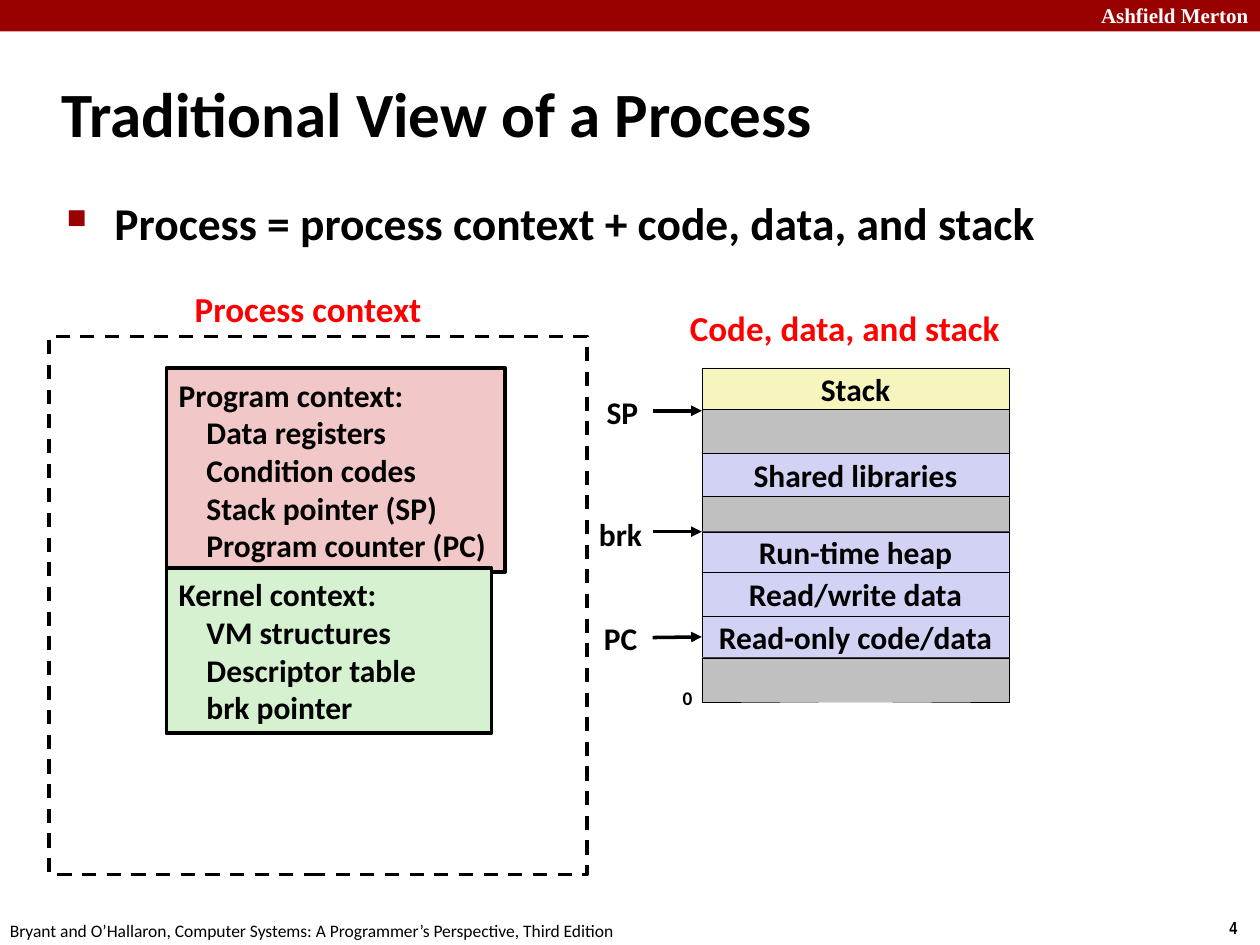
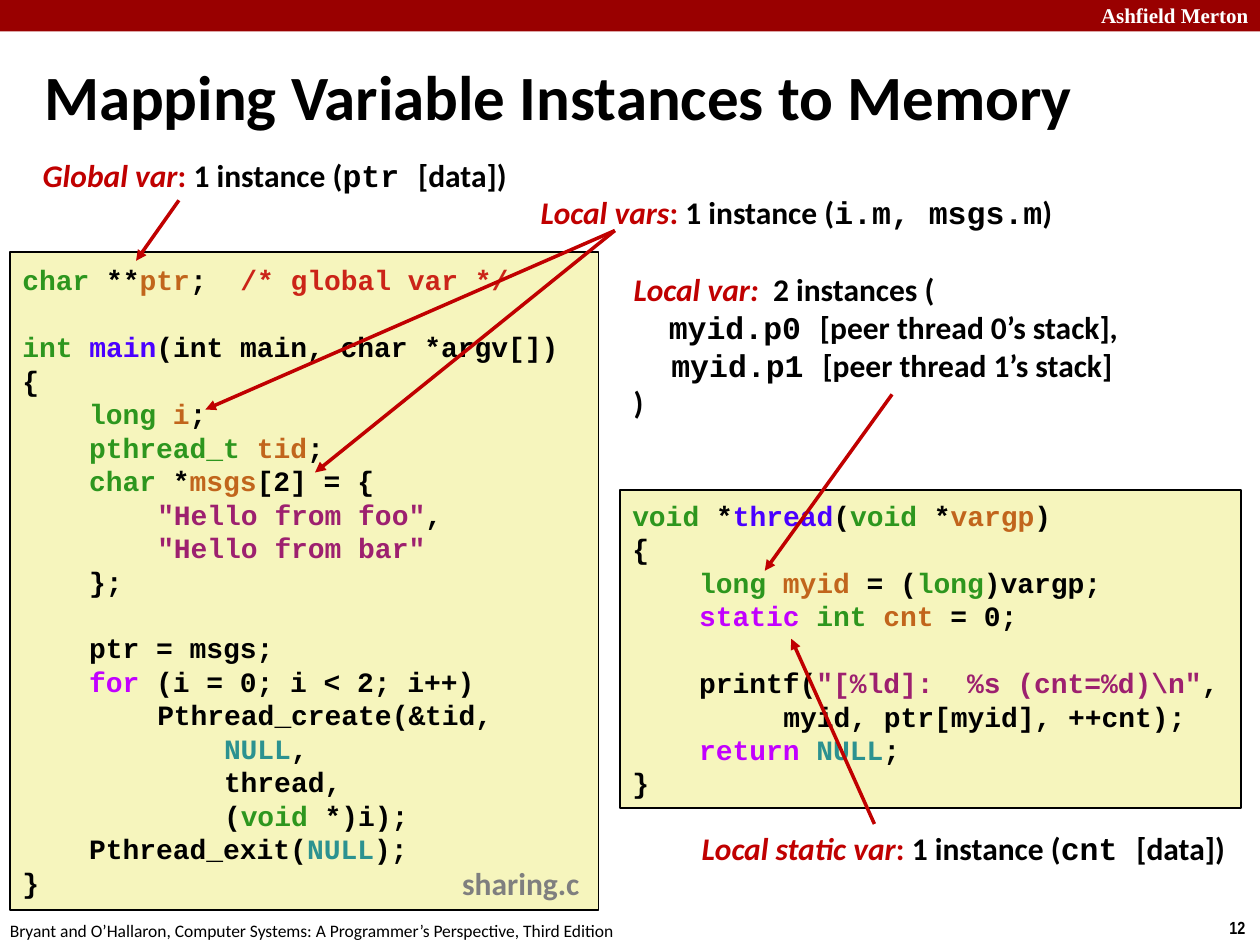
from dataclasses import dataclass
from typing import Optional

from lxml.etree import SubElement
from pptx import Presentation
from pptx.dml.color import RGBColor
from pptx.enum.dml import MSO_LINE
from pptx.enum.shapes import MSO_CONNECTOR, MSO_SHAPE
from pptx.enum.text import MSO_ANCHOR, MSO_AUTO_SIZE, PP_ALIGN
from pptx.oxml.ns import qn
from pptx.util import Pt

# Lengths are px, 100 to the inch
EMU_PER_PX = 9144
SLIDE_WIDTH, SLIDE_HEIGHT = 1000, 750
LINE_PITCH = 1.195  # line height of stacked lines, relative to the text size
CODE_SIZE, CODE_COLUMN = 16, 9.6  # points

CALIBRI, COURIER = "Calibri", "Courier New"

BLACK = RGBColor(0x00, 0x00, 0x00)
WHITE = RGBColor(0xFF, 0xFF, 0xFF)
BAND_RED = RGBColor(0x99, 0x00, 0x00)
HEADING_RED = RGBColor(0xFF, 0x00, 0x00)
NOTE_RED = RGBColor(0xC0, 0x00, 0x00)
PINK = RGBColor(0xF1, 0xC7, 0xC7)
GREEN = RGBColor(0xD5, 0xF1, 0xCF)
YELLOW = RGBColor(0xF6, 0xF5, 0xBD)
LAVENDER = RGBColor(0xD2, 0xD2, 0xF4)
GREY = RGBColor(0xC0, 0xC0, 0xC0)
FILE_GREY = RGBColor(0x7F, 0x7F, 0x7F)

# Syntax colours
TYPE = RGBColor(0x2D, 0x96, 0x1E)
VARIABLE = RGBColor(0xC1, 0x65, 0x1C)
COMMENT = RGBColor(0xCB, 0x24, 0x18)
FUNCTION = RGBColor(0x4A, 0x00, 0xFF)
STRING = RGBColor(0x9D, 0x20, 0x6F)
KEYWORD = RGBColor(0xC2, 0x00, 0xFF)
CONSTANT = RGBColor(0x2C, 0x92, 0x90)


@dataclass(frozen=True)
class Box:
    left: int
    top: int
    width: int
    height: int


@dataclass(frozen=True)
class Run:
    text: str
    color: RGBColor = BLACK
    font: str = CALIBRI
    size: int = 18
    bold: bool = True
    italic: bool = False


@dataclass(frozen=True)
class Line:
    runs: tuple[Run, ...]
    indent: int = 0
    gap_before: bool = False


@dataclass(frozen=True)
class MemoryRow:
    label: str
    height: int
    fill: RGBColor


@dataclass(frozen=True)
class Arrow:
    start: tuple[int, int]
    end: tuple[int, int]
    color: RGBColor = NOTE_RED


def px(length: float) -> int:
    return round(length * EMU_PER_PX)


def place(box: Box) -> tuple[int, ...]:
    return tuple(px(length) for length in (box.left, box.top, box.width, box.height))


def one(text: str, **style) -> list[Line]:
    return [Line((Run(text, **style),))]


def code(columns: int, *parts, gap_before: bool = False) -> Line:
    """A code line: plain strings are black, pairs are (text, colour)."""
    pairs = [(part, BLACK) if isinstance(part, str) else part for part in parts]
    runs = tuple(Run(text, color, COURIER, CODE_SIZE) for text, color in pairs)
    return Line(runs, round(columns * CODE_COLUMN * 100 / 72), gap_before)


def write(shape, lines: list[Line], align=PP_ALIGN.LEFT, anchor=MSO_ANCHOR.MIDDLE,
          wrap: bool = False) -> None:
    frame = shape.text_frame
    frame.word_wrap = wrap
    frame.auto_size = MSO_AUTO_SIZE.NONE
    frame.vertical_anchor = anchor
    for index, line in enumerate(lines):
        paragraph = frame.add_paragraph() if index else frame.paragraphs[0]
        paragraph.alignment = align
        pitch = Pt(line.runs[0].size * LINE_PITCH)
        if len(lines) > 1:
            paragraph.line_spacing = pitch
        if line.gap_before:
            paragraph.space_before = pitch
        if line.indent:
            paragraph._p.get_or_add_pPr().set("marL", str(px(line.indent)))
        for part in line.runs:
            run = paragraph.add_run()
            run.text = part.text
            font = run.font
            font.name, font.size = part.font, Pt(part.size)
            font.bold, font.italic = part.bold, part.italic
            font.color.rgb = part.color


def add_text(slide, box: Box, lines: list[Line], **layout):
    shape = slide.shapes.add_textbox(*place(box))
    write(shape, lines, **layout)
    return shape


def add_rectangle(slide, box: Box, fill: Optional[RGBColor], line_width: float = 0):
    shape = slide.shapes.add_shape(MSO_SHAPE.RECTANGLE, *place(box))
    shape.shadow.inherit = False
    if fill is None:
        shape.fill.background()
    else:
        shape.fill.solid()
        shape.fill.fore_color.rgb = fill
    if line_width:
        shape.line.color.rgb = BLACK
        shape.line.width = Pt(line_width)
    else:
        shape.line.fill.background()
    return shape


def add_arrow(slide, arrow: Arrow):
    connector = slide.shapes.add_connector(
        MSO_CONNECTOR.STRAIGHT, *(px(value) for value in arrow.start + arrow.end))
    connector.line.color.rgb = arrow.color
    connector.line.width = Pt(2)
    SubElement(connector.line._get_or_add_ln(), qn("a:tailEnd"), type="triangle")
    SubElement(connector._element.spPr, qn("a:effectLst"))
    return connector


def add_slide(presentation, title: str, title_box: Box, number: int):
    """A slide with the shared band, footer and title style."""
    slide = presentation.slides.add_slide(presentation.slide_layouts[5])
    add_rectangle(slide, Box(0, 0, SLIDE_WIDTH, 25), BAND_RED)
    add_text(slide, Box(864, -3, 143, 30),
             one("Ashfield Merton", color=WHITE, font="Times New Roman", size=12))
    add_text(slide, Box(966, 723, 34, 27), one(str(number), font="Arial Narrow", size=10))
    add_text(slide, Box(-2, 725, 508, 27),
             one("Bryant and O’Hallaron, Computer Systems: A Programmer’s Perspective, "
                 "Third Edition", size=10, bold=False))
    heading = slide.shapes.title
    heading.left, heading.top, heading.width, heading.height = place(title_box)
    write(heading, one(title, size=36), wrap=True)
    return slide


def add_bullet(slide, box: Box, text: str) -> None:
    shape = add_text(slide, box, one(text, size=26), anchor=MSO_ANCHOR.TOP, wrap=True)
    paragraph = shape.text_frame.paragraphs[0]
    paragraph.space_before = Pt(5)
    properties = paragraph._p.get_or_add_pPr()
    properties.set("marL", str(px(38)))
    properties.set("indent", str(px(-38)))
    color = SubElement(properties, qn("a:buClr"))
    SubElement(color, qn("a:srgbClr"), val=str(BAND_RED))
    SubElement(properties, qn("a:buSzPct"), val="60000")
    SubElement(properties, qn("a:buChar"), char="■")


def context_lines(heading: str, *items: str) -> list[Line]:
    return one(heading) + [Line((Run(item),), indent=22) for item in items]


def build_process_slide(presentation) -> None:
    slide = add_slide(presentation, "Traditional View of a Process", Box(39, 48, 830, 83), 4)
    add_bullet(slide, Box(43, 150, 864, 544),
               "Process = process context + code, data, and stack")

    # Process context
    program = add_rectangle(slide, Box(132, 292, 269, 162), PINK, 2)
    write(program, context_lines("Program context:", "Data registers", "Condition codes",
                                 "Stack pointer (SP)", "Program counter (PC)"))
    kernel = add_rectangle(slide, Box(132, 451, 258, 131), GREEN, 2)
    write(kernel, context_lines("Kernel context:", "VM structures", "Descriptor table",
                                "brk pointer"))
    outline = add_rectangle(slide, Box(39, 267, 427, 427), None, 2)
    outline.line.dash_style = MSO_LINE.DASH

    # Headings
    for text, box in (("Process context", Box(143, 223, 203, 44)),
                      ("Code, data, and stack", Box(536, 238, 269, 44))):
        add_text(slide, box, one(text, color=HEADING_RED, size=20), align=PP_ALIGN.CENTER)

    # Memory map, from the top address down
    memory_rows = (
        MemoryRow("Stack", 33, YELLOW), MemoryRow("", 35, GREY),
        MemoryRow("Shared libraries", 34, LAVENDER), MemoryRow("", 28, GREY),
        MemoryRow("Run-time heap", 32, LAVENDER), MemoryRow("Read/write data", 35, LAVENDER),
        MemoryRow("Read-only code/data", 33, LAVENDER), MemoryRow("", 35, GREY))
    segments = {}
    top = 292
    for row in memory_rows:
        segment = add_rectangle(slide, Box(557, top, 244, row.height), row.fill, 0.25)
        if row.label:
            write(segment, one(row.label), align=PP_ALIGN.CENTER)
            segments[row.label] = segment
        top += row.height
    add_text(slide, Box(532, 539, 28, 29), one("0", size=11))

    # Pointers into memory
    for name, box, y, target in (("SP", Box(471, 307, 46, 40), 326, None),
                                 ("brk", Box(465, 404, 55, 40), 422, None),
                                 ("PC", Box(469, 486, 47, 40), 506, "Read-only code/data")):
        add_text(slide, box, one(name), align=PP_ALIGN.CENTER)
        pointer = add_arrow(slide, Arrow((518, y), (557, y), BLACK))
        if target:
            pointer.end_connect(segments[target], 1)


def build_variables_slide(presentation) -> None:
    slide = add_slide(presentation, "Mapping Variable Instances to Memory",
                      Box(25, 33, 981, 85), 12)

    # Code listings
    main_code = [
        code(0, ("char", TYPE), " **", ("ptr", VARIABLE), ";  ", ("/* global var */", COMMENT)),
        code(0, ("int ", TYPE), ("main", FUNCTION), "(int main, char *argv[])",
             gap_before=True),
        code(0, "{"),
        code(4, ("long ", TYPE), ("i", VARIABLE), ";"),
        code(4, ("pthread_t ", TYPE), ("tid", VARIABLE), ";"),
        code(4, ("char", TYPE), " *", ("msgs", VARIABLE), "[2] = {"),
        code(8, ('"Hello from foo"', STRING), ","),
        code(8, ('"Hello from bar"', STRING)),
        code(4, "};"),
        code(4, "ptr = msgs;", gap_before=True),
        code(4, ("for", KEYWORD), " (i = 0; i < 2; i++)"),
        code(8, "Pthread_create(&tid,"),
        code(12, ("NULL", CONSTANT), ","),
        code(12, "thread,"),
        code(12, "(", ("void", TYPE), " *)i);"),
        code(4, "Pthread_exit(", ("NULL", CONSTANT), ");"),
        code(0, "}")]
    thread_code = [
        code(0, ("void", TYPE), " *", ("thread", FUNCTION), "(", ("void", TYPE), " *",
             ("vargp", VARIABLE), ")"),
        code(0, "{"),
        code(4, ("long ", TYPE), ("myid", VARIABLE), " = (", ("long", TYPE), ")vargp;"),
        code(4, ("static ", KEYWORD), ("int ", TYPE), ("cnt", VARIABLE), " = 0;"),
        code(4, "printf(", ('"[%ld]:  %s (cnt=%d)\\n"', STRING), ",", gap_before=True),
        code(9, "myid, ptr[myid], ++cnt);"),
        code(4, ("return ", KEYWORD), ("NULL", CONSTANT), ";"),
        code(0, "}")]
    for box, listing in ((Box(8, 200, 467, 522), main_code),
                         (Box(492, 389, 493, 252), thread_code)):
        write(add_rectangle(slide, box, YELLOW, 1), listing)
    add_text(slide, Box(357, 681, 114, 40), one("sharing.c", color=FILE_GREY))

    # Notes on single instances
    for kind, variables, ending, box in (
            ("Global var", "ptr ", "[data])", Box(22, 124, 392, 30)),
            ("Local static var", "cnt ", "[data])", Box(544, 658, 441, 30)),
            ("Local vars", "i.m, msgs.m", ")", Box(417, 153, 430, 30))):
        note = Line((Run(kind, NOTE_RED, italic=True), Run(": ", NOTE_RED),
                     Run("1 instance ("), Run(variables, font=COURIER), Run(ending)))
        add_text(slide, box, [note], align=PP_ALIGN.CENTER)

    # Note on the variable with one instance per thread
    add_text(slide, Box(493, 214, 423, 121), [
        Line((Run("Local var:  ", NOTE_RED, italic=True), Run("2 instances ("))),
        Line((Run("myid.p0 ", font=COURIER), Run("[peer thread 0’s stack],")), indent=28),
        Line((Run("myid.p1 ", font=COURIER), Run("[peer thread 1’s stack]")), indent=30),
        Line((Run(")"),))])

    # Arrows from notes to declarations
    for arrow in (Arrow((142, 159), (108, 207)), Arrow((694, 654), (628, 507)),
                  Arrow((488, 183), (163, 325)), Arrow((708, 313), (607, 453)),
                  Arrow((488, 183), (250, 375))):
        add_arrow(slide, arrow)


def main() -> None:
    presentation = Presentation()
    presentation.slide_width, presentation.slide_height = px(SLIDE_WIDTH), px(SLIDE_HEIGHT)
    build_process_slide(presentation)
    build_variables_slide(presentation)
    presentation.save("out.pptx")


if __name__ == "__main__":
    main()
